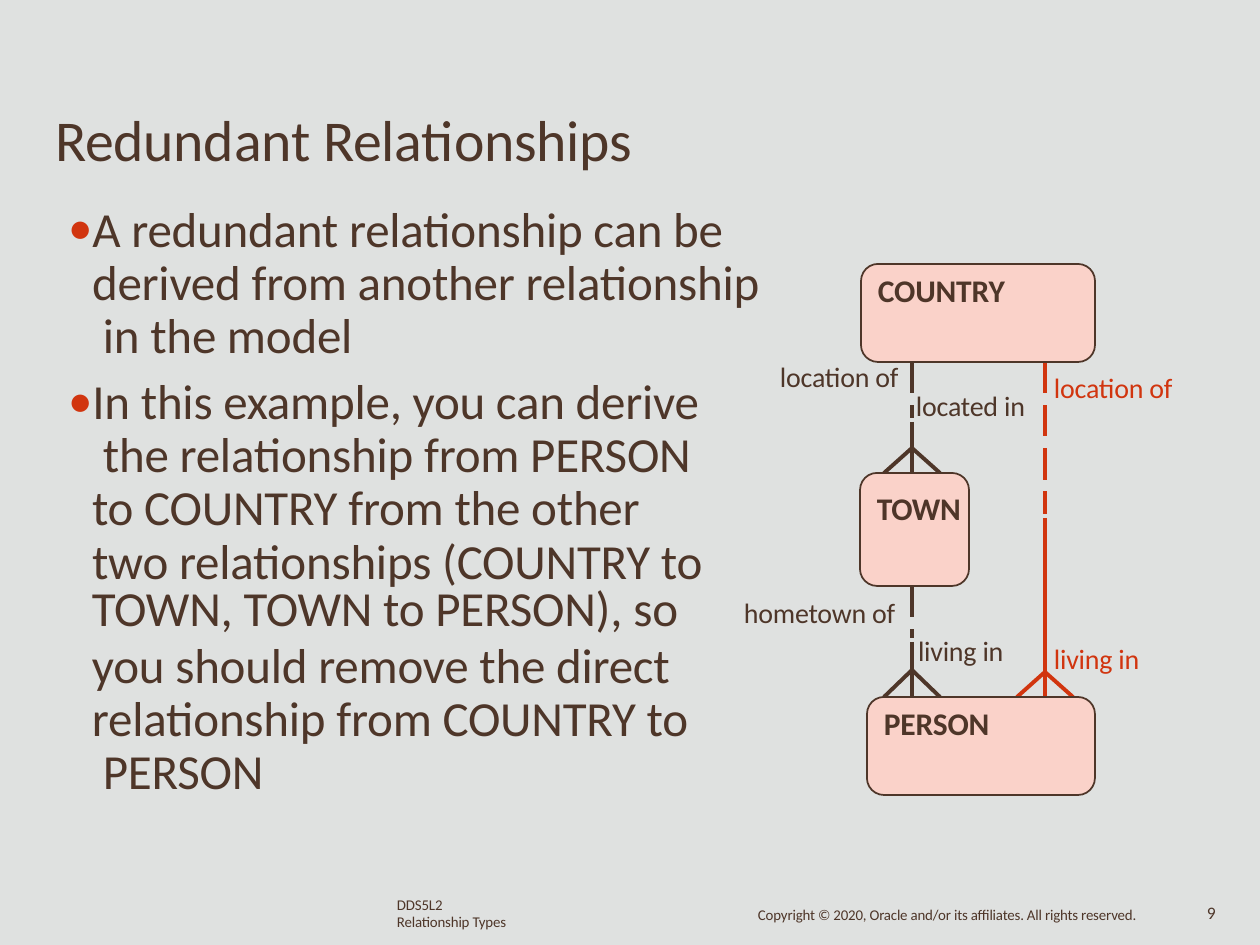
from dataclasses import dataclass

from pptx import Presentation
from pptx import util as u
from pptx.dml.color import RGBColor
from pptx.enum import dml, shapes, text
from pptx.oxml.ns import qn
from lxml import etree

PX = u.Inches(1) / 126
FONT = "Calibri"
COLORS = {"ground": "DFE1E0", "ink": "4E3629", "accent": "D1350F", "entity": "FAD2C9"}


@dataclass
class Para:
    text: str
    leading: float = None
    before: float = 0
    indent: int = 0
    bullet: bool = False


def px(value):
    return u.Emu(round(value * PX))


def rgb(name):
    return RGBColor.from_string(COLORS[name])


def add_bullet(props):
    props.set("indent", str(-px(24)))
    color = etree.SubElement(props, qn("a:buClr"))
    etree.SubElement(color, qn("a:srgbClr"), val=COLORS["accent"])
    etree.SubElement(props, qn("a:buFont"), typeface=FONT)
    etree.SubElement(props, qn("a:buChar"), char="•")


def add_text(slide, box, paras, size, color="ink", bold=False, inset=1, tracking=-0.1):
    frame = slide.shapes.add_textbox(*map(px, box)).text_frame
    frame.word_wrap = True
    frame.vertical_anchor = text.MSO_ANCHOR.TOP
    frame.margin_left = frame.margin_right = frame.margin_bottom = 0
    frame.margin_top = px(inset)
    for i, para in enumerate(paras):
        line = frame.add_paragraph() if i else frame.paragraphs[0]
        line.text = para.text
        if para.leading:
            line.line_spacing = u.Pt(para.leading)
        line.space_before = u.Pt(para.before)
        props = line._p.get_or_add_pPr()
        props.set("marL", str(px(para.indent)))
        if para.bullet:
            add_bullet(props)
        for run in line.runs:
            run.font.name, run.font.size, run.font.bold = FONT, u.Pt(size), bold
            run.font.color.rgb = rgb(color)
            run._r.get_or_add_rPr().set("spc", str(round(tracking * 100)))


def add_line(slide, start, end, color, dashed=False):
    line = slide.shapes.add_connector(
        shapes.MSO_CONNECTOR.STRAIGHT, *map(px, (*start, *end)))
    line.line.color.rgb = rgb(color)
    line.line.width = u.Pt(2.25)
    if dashed:
        line.line.dash_style = dml.MSO_LINE.LONG_DASH
    etree.SubElement(line._element.spPr, qn("a:effectLst"))


def add_relationship(slide, x, top, gap, tip, bottom, color="ink"):
    """Optional half dashed, mandatory half solid, ending in a crow's foot."""
    add_line(slide, (x, top), (x, gap), color, dashed=True)
    add_line(slide, (x, gap + 4), (x, bottom), color)
    for side in (-1, 1):
        add_line(slide, (x, tip), (x + side * 28, bottom), color)


def add_entity(slide, box, name, name_top=6, tracking=-0.1):
    left, top, width, height = box
    entity = slide.shapes.add_shape(
        shapes.MSO_SHAPE.ROUNDED_RECTANGLE, *map(px, box))
    entity.adjustments[0] = 17 / min(width, height)
    entity.shadow.inherit = False
    entity.fill.solid()
    entity.fill.fore_color.rgb = rgb("entity")
    entity.line.color.rgb = rgb("ink")
    entity.line.width = u.Pt(1)
    add_text(slide, (left + 17, top + name_top, 132, 41), [Para(name)], 18,
             bold=True, tracking=tracking)


def add_title(slide, box):
    add_text(slide, box, [Para("Redundant Relationships")], 33)


def add_body(slide, box):
    left, top, width, height = box
    # Bulleted points
    add_text(slide, (left, top, width, 394), [
        Para("A redundant relationship can be\vderived from another relationship"
             "\v in the model", 30.3, indent=25, bullet=True),
        Para("In this example, you can derive\v the relationship from PERSON"
             "\vto COUNTRY from the other\vtwo relationships (COUNTRY to",
             30.3, before=7.8, indent=25, bullet=True),
    ], 28, inset=9)
    # Rest of the second point
    add_text(slide, (left + 25, top + 385, width - 95, height - 385), [
        Para("TOWN, TOWN to PERSON), so", 31.9),
        Para("you should remove the direct\vrelationship from COUNTRY to\v PERSON",
             30.3, before=2.1),
    ], 28)


def add_diagram(slide, box):
    left, top, _, _ = box

    # Relationships
    for x, start, gap, tip, end, color in [
        (168, 98, 154, 184, 209, "ink"),
        (168, 322, 374, 406, 433, "ink"),
        (301, 98, 250, 408, 433, "accent"),
    ]:
        add_relationship(slide, left + x, top + start, top + gap, top + tip,
                         top + end, color)

    # Relationship names
    add_text(slide, (left + 36, top + 99, 251, 62), [
        Para("location of", 16.6), Para("located in", 16.6, indent=136)], 16)
    for name, x, y, color in [
        ("hometown of", 0, 331, "ink"),
        ("living in", 174, 369, "ink"),
        ("location of", 310, 106, "accent"),
        ("living in", 310, 377, "accent"),
    ]:
        add_text(slide, (left + x, top + y, 158, 37), [Para(name)], 16, color)

    # Entities
    add_entity(slide, (left + 117, top, 234, 98), "COUNTRY")
    add_entity(slide, (left + 123, top + 433, 228, 98), "PERSON")
    add_entity(slide, (left + 116, top + 209, 109, 113), "TOWN", 15, -0.2)


def add_footer(slide, box):
    left, top, _, _ = box
    add_text(slide, (left, top, 130, 34),
             [Para("DDS5L2", 8.6), Para("Relationship Types", 9.7)], 8.5, inset=0)
    add_text(slide, (left + 361, top + 10, 400, 19), [
        Para("Copyright © 2020, Oracle and/or its affiliates. All rights reserved.",
             9.1)], 8.5, inset=0)
    add_text(slide, (left + 810, top + 7, 24, 21), [Para("9", 10.4)], 10, inset=0)


def main():
    deck = Presentation()
    deck.slide_width, deck.slide_height = px(1260), px(945)
    slide = deck.slides.add_slide(deck.slide_layouts[6])
    slide.background.fill.solid()
    slide.background.fill.fore_color.rgb = rgb("ground")

    add_title(slide, (55, 103, 586, 73))
    add_body(slide, (67, 195, 701, 605))
    add_diagram(slide, (744, 264, 433, 531))
    add_footer(slide, (397, 898, 834, 34))
    deck.save("out.pptx")


if __name__ == "__main__":
    main()
